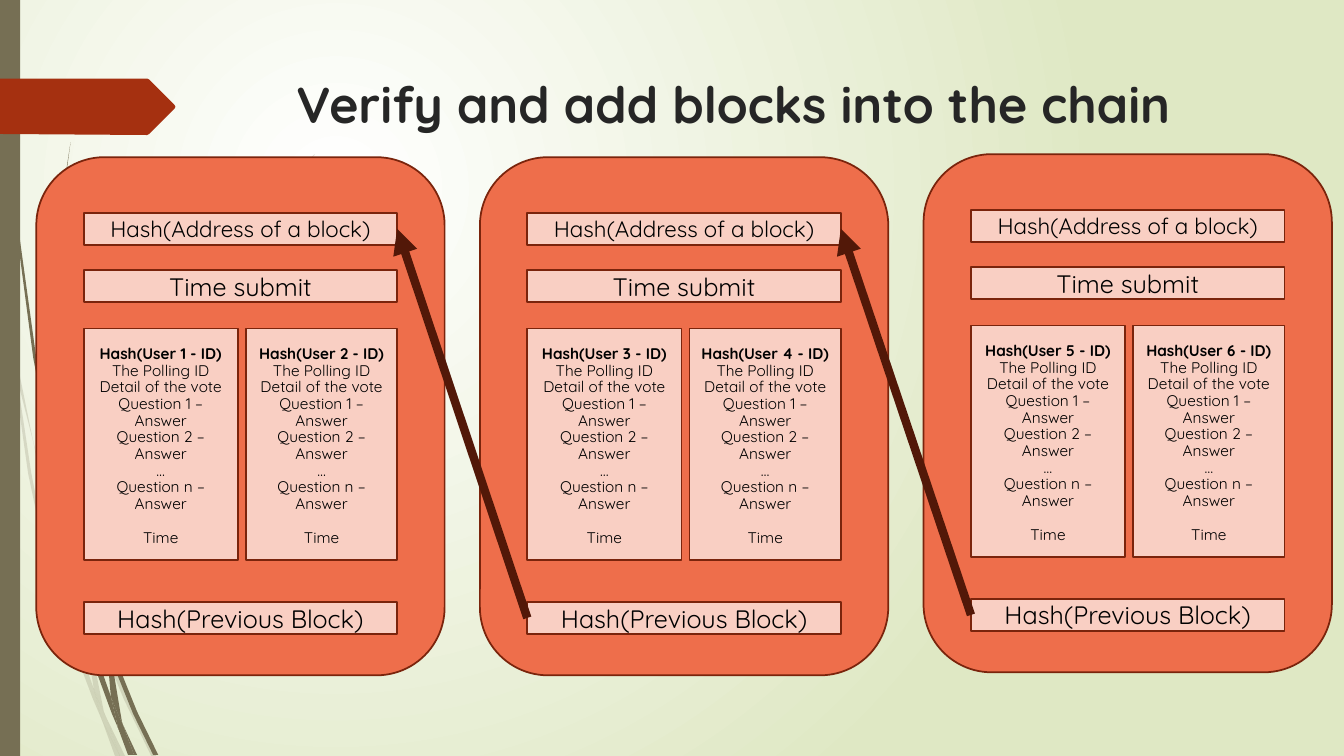
from dataclasses import dataclass

import lxml.etree
import pptx
import pptx.dml.color
import pptx.enum.dml
import pptx.enum.shapes
import pptx.enum.text
import pptx.oxml.ns
import pptx.util

EMU_PER_PX = 9144
FONT = "Quicksand"
OLIVE = "766F54"
RUST = "A53010"
CORAL = "EE6E4B"
BLUSH = "F9CFC3"
OUTLINE = "7A240C"
ARROW = "521808"
BLACK = "000000"

RECTANGLE = pptx.enum.shapes.MSO_SHAPE.RECTANGLE
ROUNDED = pptx.enum.shapes.MSO_SHAPE.ROUNDED_RECTANGLE
CENTER = pptx.enum.text.PP_ALIGN.CENTER
LEFT = pptx.enum.text.PP_ALIGN.LEFT
MIDDLE = pptx.enum.text.MSO_ANCHOR.MIDDLE
SHRINK = pptx.enum.text.MSO_AUTO_SIZE.TEXT_TO_FIT_SHAPE


@dataclass(frozen=True)
class Block:
    left: int
    top: int
    first_user: int


@dataclass(frozen=True)
class Row:
    top: int
    text: str
    size: int


@dataclass(frozen=True)
class Card:
    left: int
    width: int


BLOCKS = [Block(36 + 440 * i, top, 2 * i + 1) for i, top in enumerate((156, 156, 153))]
ROWS = [
    Row(55, "Hash(Address of a block)", 16),
    Row(112, "Time submit", 18),
    Row(441, "Hash(Previous Block)", 18),
]
CARDS = [Card(47, 153), Card(208, 150)]
VOTE_LINES = [
    "The Polling ID",
    "Detail of the vote",
    "Question 1 – Answer",
    "Question 2 – Answer",
    "…",
    "Question n – Answer",
]

PALE_WISPS = [
    [(58, 522), (84, 599), (85, 586), (62, 520), (38, 463), (14, 345), (17, 376), (36, 450)],
    [(92, 607), (88, 596), (88, 610), (123, 694), (150, 750), (155, 750), (127, 692)],
    [(119, 750), (124, 750), (105, 711)],
    [(93, 683), (70, 619), (48, 555), (31, 469), (17, 376), (11, 350), (28, 470),
     (44, 546), (65, 621), (92, 693), (101, 714), (99, 707)],
    [(84, 599), (87, 646), (93, 683), (96, 692), (105, 711), (103, 706), (91, 646),
     (88, 610), (88, 608)],
    [(88, 584), (92, 522), (110, 462), (131, 404), (160, 349), (192, 295), (229, 245),
     (268, 198), (290, 175), (312, 154), (312, 153), (289, 175), (268, 197), (228, 244),
     (190, 294), (158, 348), (129, 403), (107, 461), (90, 522), (85, 584), (85, 586), (88, 596)],
    [(101, 714), (114, 750), (119, 750)],
    [(96, 692), (93, 683), (99, 707), (101, 714), (119, 750), (105, 711)],
]
DARK_WISPS = [
    [(7, 110), (17, 233), (33, 355), (56, 477), (57, 481), (55, 457), (55, 453),
     (36, 355), (19, 232), (8, 109), (5, 48), (4, 0), (3, 0), (4, 48)],
    [(113, 649), (110, 641), (111, 656), (132, 708), (152, 749), (157, 749), (136, 706)],
    [(110, 691), (98, 657), (83, 607), (72, 556), (64, 505), (57, 477), (68, 557),
     (79, 608), (93, 659), (111, 708), (117, 722), (116, 717)],
    [(60, 472), (58, 453), (54, 349), (58, 245), (63, 193), (70, 141), (62, 193),
     (56, 245), (52, 349), (55, 449)],
    [(133, 749), (136, 749), (122, 719)],
    [(117, 722), (127, 749), (131, 749)],
    [(106, 645), (110, 691), (116, 706), (122, 719), (121, 716), (111, 656), (109, 651)],
    [(116, 706), (110, 691), (116, 717), (117, 722), (130, 749), (133, 749), (122, 719)],
]
TITLE_TAB = [(174, 106), (173, 108), (148, 133), (146, 134), (0, 133), (0, 78), (146, 78),
             (148, 79), (173, 104)]


def px(length: int) -> pptx.util.Emu:
    return pptx.util.Emu(length * EMU_PER_PX)


def color(code: str) -> pptx.dml.color.RGBColor:
    return pptx.dml.color.RGBColor.from_string(code)


def qn(tag: str) -> str:
    return pptx.oxml.ns.qn(tag)


def paint(shape, fill: str, line: str = "") -> None:
    shape.shadow.inherit = False
    shape.fill.solid()
    shape.fill.fore_color.rgb = color(fill)
    if line:
        shape.line.color.rgb = color(line)
        shape.line.width = pptx.util.Pt(1.25)
    else:
        shape.line.fill.background()


def draw_box(page, kind, left: int, top: int, width: int, height: int,
             fill: str, line: str = ""):
    box = page.shapes.add_shape(kind, px(left), px(top), px(width), px(height))
    paint(box, fill, line)
    return box


def draw_outline(page, points: list, fill: str, opacity: int = 100) -> None:
    builder = page.shapes.build_freeform(*points[0], scale=EMU_PER_PX)
    builder.add_line_segments(points[1:], close=True)
    outline = builder.convert_to_shape()
    paint(outline, fill)
    if opacity < 100:
        tint = outline.element.spPr.find(f"{qn('a:solidFill')}/{qn('a:srgbClr')}")
        lxml.etree.SubElement(tint, qn("a:alpha"), val=str(opacity * 1000))


def write(para, text: str, *, size: int, bold: bool = False, ink: str = BLACK,
          align=CENTER, before: float = 0) -> None:
    para.alignment = align
    para.space_before = pptx.util.Pt(before)
    span = para.add_run()
    span.text = text
    span.font.name = FONT
    span.font.size = pptx.util.Pt(size)
    span.font.bold = bold
    span.font.color.rgb = color(ink)


def draw_background(page) -> None:
    fill = page.background.fill
    fill.gradient()
    for stop, code in zip(fill.gradient_stops, ("FFFFFF", "DFE8C4")):
        stop.color.rgb = color(code)
    gradient = page.element.find(f".//{qn('a:gradFill')}")
    gradient.remove(gradient.find(qn("a:lin")))
    circle = lxml.etree.SubElement(gradient, qn("a:path"), {"path": "circle"})
    lxml.etree.SubElement(circle, qn("a:fillToRect"), l="50000", t="50000", r="100000", b="100000")


def draw_title(page) -> None:
    box = page.shapes.add_textbox(px(284), px(68), px(975), px(140))
    box.text_frame.word_wrap = True
    write(box.text_frame.paragraphs[0], "Verify and add blocks into the chain",
          size=36, bold=True, ink="262626", align=LEFT)


def draw_card(page, block: Block, card: Card, user: int) -> None:
    box = draw_box(page, RECTANGLE, block.left + card.left, block.top + 170,
                   card.width, 230, BLUSH, OUTLINE)
    frame = box.text_frame
    frame.word_wrap = True
    frame.vertical_anchor = MIDDLE
    frame.auto_size = SHRINK
    write(frame.paragraphs[0], f"Hash(User {user} - ID)", size=11, bold=True)
    for text in VOTE_LINES:
        write(frame.add_paragraph(), text, size=11)
    write(frame.add_paragraph(), "Time", size=11, before=13.75)


def draw_block(page, block: Block) -> list:
    draw_box(page, ROUNDED, block.left, block.top, 405, 514, CORAL, OUTLINE)
    bars = []
    for row in ROWS:
        bar = draw_box(page, RECTANGLE, block.left + 47, block.top + row.top,
                       311, 32, BLUSH, OUTLINE)
        bar.text_frame.word_wrap = True
        bar.text_frame.vertical_anchor = MIDDLE
        write(bar.text_frame.paragraphs[0], row.text, size=row.size)
        bars.append(bar)
    for offset, card in enumerate(CARDS):
        draw_card(page, block, card, block.first_user + offset)
    return bars


def draw_arrow(page, previous_hash, address) -> None:
    arrow = page.shapes.add_connector(pptx.enum.shapes.MSO_CONNECTOR.STRAIGHT, 0, 0, 0, 0)
    arrow.begin_connect(previous_hash, 1)
    arrow.end_connect(address, 3)
    arrow.line.color.rgb = color(ARROW)
    arrow.line.width = pptx.util.Pt(6)
    lxml.etree.SubElement(arrow.line._get_or_add_ln(), qn("a:tailEnd"), type="triangle")
    lxml.etree.SubElement(arrow.element.spPr, qn("a:effectLst"))


def main() -> None:
    deck = pptx.Presentation()
    deck.slide_width, deck.slide_height = px(1333), px(750)
    page = deck.slides.add_slide(deck.slide_layouts[6])
    draw_background(page)
    for wisp in PALE_WISPS:
        draw_outline(page, wisp, OLIVE, opacity=20)
    for wisp in DARK_WISPS:
        draw_outline(page, wisp, OLIVE)
    draw_box(page, RECTANGLE, 0, 0, 20, 750, OLIVE)
    draw_outline(page, TITLE_TAB, RUST)
    draw_title(page)
    chain = [draw_block(page, block) for block in BLOCKS]
    for earlier, later in zip(chain, chain[1:]):
        draw_arrow(page, later[2], earlier[0])
    deck.save("out.pptx")


if __name__ == "__main__":
    main()
